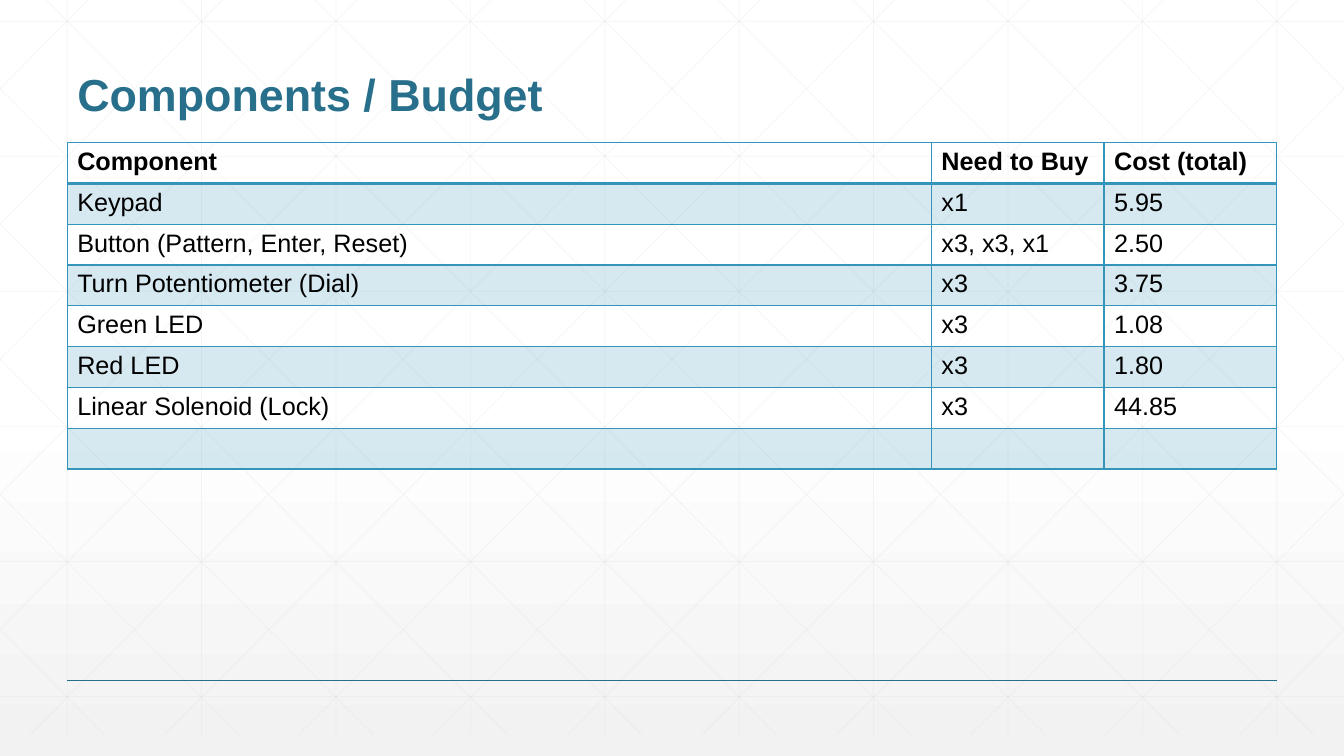
from pptx import Presentation
from pptx.dml.color import RGBColor
from pptx.enum.shapes import MSO_CONNECTOR
from pptx.enum.text import MSO_ANCHOR, MSO_AUTO_SIZE, PP_ALIGN
from pptx.oxml.ns import qn
from pptx.util import Inches, Pt
from lxml import etree

STRAIGHT = MSO_CONNECTOR.STRAIGHT
BOTTOM = MSO_ANCHOR.BOTTOM
LEFT = PP_ALIGN.LEFT
NO_AUTOFIT = MSO_AUTO_SIZE.NONE

WHITE = RGBColor(0xFF, 0xFF, 0xFF)
BLACK = RGBColor(0x00, 0x00, 0x00)
PALE = RGBColor(0xF2, 0xF2, 0xF2)
GREY = RGBColor(0xD9, 0xD9, 0xD9)
TEAL = RGBColor(0x27, 0x6F, 0x8B)
BLUE = RGBColor(0x34, 0x94, 0xBA)

COLS, ROWS = 20, 30
LATTICE_TOP, LATTICE_BOTTOM = -0.84, 29.16
DIAGONAL_RUN = 11.18

BUDGET = [
    ("Component", "Need to Buy", "Cost (total)"),
    ("Keypad", "x1", "5.95"),
    ("Button (Pattern, Enter, Reset)", "x3, x3, x1", "2.50"),
    ("Turn Potentiometer (Dial)", "x3", "3.75"),
    ("Green LED", "x3", "1.08"),
    ("Red LED", "x3", "1.80"),
    ("Linear Solenoid (Lock)", "x3", "44.85"),
    ("", "", ""),
]


class Deck:
    font = "Arial"

    def __init__(self):
        self.prs = Presentation()
        self.prs.slide_width = Inches(13.33)
        self.prs.slide_height = Inches(7.5)
        self.s = self.prs.slides.add_slide(self.prs.slide_layouts[5])

    def x(self, cols):
        return round(self.prs.slide_width * cols / COLS)

    def y(self, rows):
        return round(self.prs.slide_height * rows / ROWS)

    def alpha(self, parent, percent):
        clr = next(parent.iter(qn("a:srgbClr")))
        etree.SubElement(clr, qn("a:alpha"), val=str(percent * 1000))

    def background(self, top, bottom):
        fill = self.s.background.fill
        fill.gradient()
        fill.gradient_angle = 270
        for stop, pos, color in zip(fill.gradient_stops, (0.53, 1), (top, bottom)):
            stop.position = pos
            stop.color.rgb = color

    def line(self, x1, y1, x2, y2, color, width, opacity=100):
        sp = self.s.shapes.add_connector(
            STRAIGHT, self.x(x1), self.y(y1), self.x(x2), self.y(y2))
        sp.line.color.rgb = color
        sp.line.width = Pt(width)
        spPr = sp._element.spPr
        if opacity < 100:
            self.alpha(spPr, opacity)
        etree.SubElement(spPr, qn("a:effectLst"))

    def lattice(self):
        style = (GREY, 0.5, 25)
        height = LATTICE_BOTTOM - LATTICE_TOP
        for i in range(10):
            self.line(1 + 2 * i, LATTICE_TOP, 1 + 2 * i, LATTICE_BOTTOM, *style)
        for i in range(6):
            row = 0.84 + 5.36 * i
            self.line(0, row, COLS, row, *style)
        for i in range(-5, 10):
            start = 0.375 + 2 * i
            x1 = max(0, start)
            x2 = min(COLS, start + DIAGONAL_RUN)
            y1, y2 = (LATTICE_TOP + height * (x - start) / DIAGONAL_RUN
                      for x in (x1, x2))
            self.line(x1, y1, x2, y2, *style)
            self.line(COLS - x1, y1, COLS - x2, y2, *style)

    def run(self, p, text, size, color, bold):
        r = p.add_run()
        r.text = text
        r.font.name = self.font
        r.font.size = Pt(size)
        r.font.bold = bold
        r.font.color.rgb = color

    def title(self, text, x, y, w, h):
        sp = self.s.shapes.title
        sp.left, sp.top = self.x(x), self.y(y)
        sp.width, sp.height = self.x(w), self.y(h)
        tf = sp.text_frame
        tf.word_wrap = True
        tf.auto_size = NO_AUTOFIT
        tf.vertical_anchor = BOTTOM
        p = tf.paragraphs[0]
        p.alignment = LEFT
        p.line_spacing = 0.9
        self.run(p, text, 32, TEAL, True)
        sp._element.getparent().append(sp._element)

    def borders(self, cell, color, widths):
        tcPr = cell._tc.get_or_add_tcPr()
        for i, (side, width) in enumerate(zip("LRTB", widths)):
            ln = etree.Element(qn("a:ln" + side), w=str(Pt(width)))
            fill = etree.SubElement(ln, qn("a:solidFill"))
            etree.SubElement(fill, qn("a:srgbClr"), val=str(color))
            tcPr.insert(i, ln)

    def table(self, data, x, y, widths, row_height):
        sp = self.s.shapes.add_table(
            len(data), len(widths), self.x(x), self.y(y),
            self.x(sum(widths)), self.y(row_height * len(data)))
        table = sp.table
        for col, width in zip(table.columns, widths):
            col.width = self.x(width)
        for i, values in enumerate(data):
            table.rows[i].height = self.y(row_height)
            for j, text in enumerate(values):
                cell = table.cell(i, j)
                if i % 2:
                    cell.fill.solid()
                    cell.fill.fore_color.rgb = BLUE
                    self.alpha(cell._tc.tcPr, 20)
                else:
                    cell.fill.background()
                self.borders(cell, BLUE, (1, 1, 2 if i == 1 else 1, 2 if i == 0 else 1))
                if text:
                    self.run(cell.text_frame.paragraphs[0], text, 18, BLACK, i == 0)


def main():
    deck = Deck()
    deck.background(WHITE, PALE)
    deck.lattice()
    deck.line(1, 27, 19, 27, TEAL, 1)
    deck.title("Components / Budget", 1, 1, 18, 4)
    deck.table(BUDGET, 1, 5.66, (12.86, 2.57, 2.57), 1.62)
    deck.prs.save("out.pptx")


if __name__ == "__main__":
    main()
